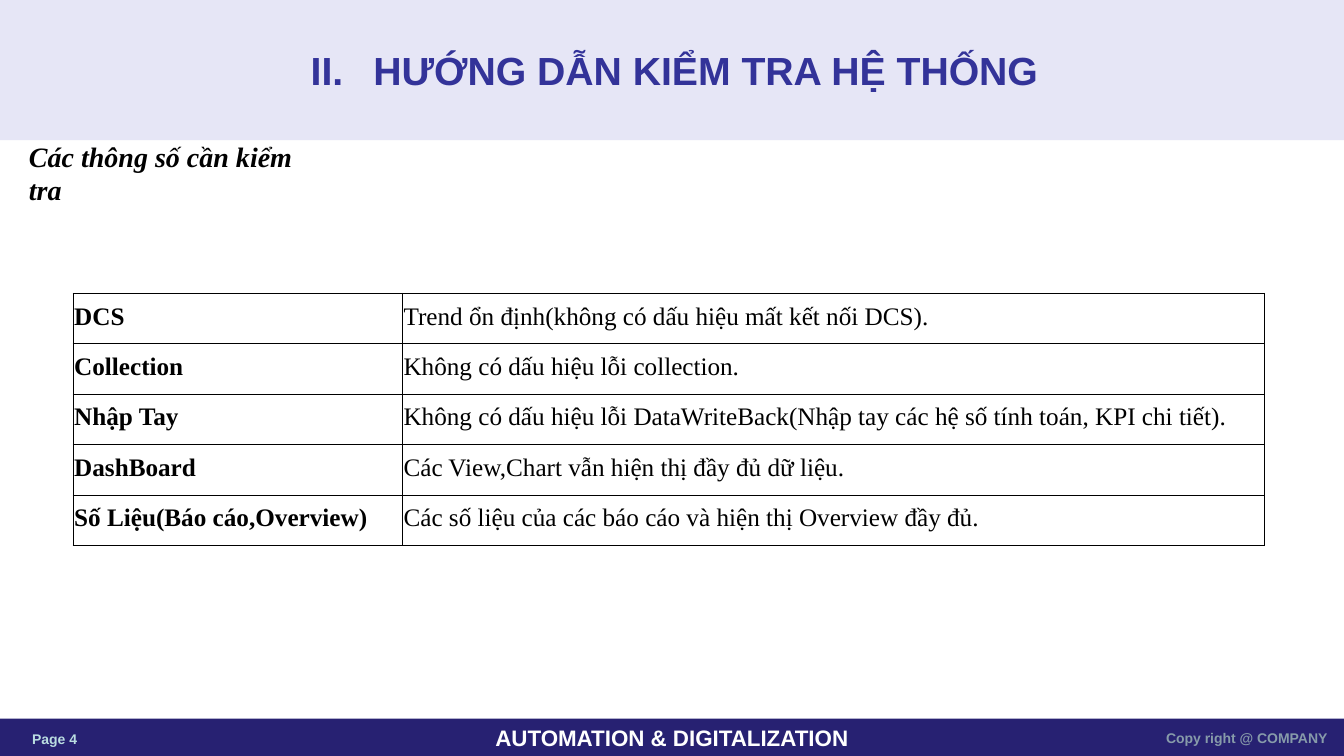
from lxml import etree
from pptx import Presentation
from pptx.dml.color import RGBColor
from pptx.enum.shapes import MSO_SHAPE
from pptx.enum.text import MSO_ANCHOR, MSO_AUTO_SIZE, PP_ALIGN
from pptx.oxml.ns import qn
from pptx.util import Cm, Pt

# Content
TITLE = "HƯỚNG DẪN KIỂM TRA HỆ THỐNG"
SUBTITLE = "Các thông số cần kiểm tra"
CHECKS = [
    ("DCS", "Trend ổn định(không có dấu hiệu mất kết nối DCS)."),
    ("Collection", "Không có dấu hiệu lỗi collection."),
    ("Nhập Tay", "Không có dấu hiệu lỗi DataWriteBack(Nhập tay các hệ số tính toán, KPI chi tiết)."),
    ("DashBoard", "Các View,Chart vẫn hiện thị đầy đủ dữ liệu."),
    ("Số Liệu(Báo cáo,Overview)", "Các số liệu của các báo cáo và hiện thị Overview đầy đủ."),
]
FOOTER = "AUTOMATION & DIGITALIZATION"
PAGE_LABEL = "Page 4"
COPYRIGHT = "Copy right @ COMPANY"

# Look and measures in cm
SANS, SERIF = "Arial", "Times New Roman"
WIDTH, HEIGHT = 33.87, 19.05
HEADER_HEIGHT, FOOTER_HEIGHT = 3.53, 0.94
COLUMN_WIDTHS, ROW_HEIGHT = (8.3, 21.72), 1.27
LEFT, CENTER, RIGHT = PP_ALIGN.LEFT, PP_ALIGN.CENTER, PP_ALIGN.RIGHT
TOP, MIDDLE = MSO_ANCHOR.TOP, MSO_ANCHOR.MIDDLE
RECTANGLE = MSO_SHAPE.RECTANGLE
NO_AUTOFIT = MSO_AUTO_SIZE.NONE


def color(hex_text):
    return RGBColor.from_string(hex_text)


def write(frame, text, size, hex_text, font=SANS, bold=True, italic=False, align=LEFT):
    frame.text = text
    frame.word_wrap = True
    para = frame.paragraphs[0]
    para.alignment = align
    span = para.runs[0].font
    span.name, span.size, span.bold, span.italic = font, Pt(size), bold, italic
    span.color.rgb = color(hex_text)
    return para


def set_margins(target, left, top, right, bottom):
    target.margin_left, target.margin_top = Cm(left), Cm(top)
    target.margin_right, target.margin_bottom = Cm(right), Cm(bottom)


def add_band(page, top, height, hex_text):
    band = page.shapes.add_shape(RECTANGLE, 0, Cm(top), Cm(WIDTH), Cm(height))
    band.shadow.inherit = False
    band.fill.solid()
    band.fill.fore_color.rgb = color(hex_text)
    band.line.fill.background()
    return band


def add_text(page, left, top, width, height, anchor):
    box = page.shapes.add_textbox(Cm(left), Cm(top), Cm(width), Cm(height))
    box.text_frame.vertical_anchor = anchor
    return box.text_frame


def add_borders(cell):
    properties = cell._tc.get_or_add_tcPr()
    for index, side in enumerate(("lnL", "lnR", "lnT", "lnB")):
        line = etree.Element(qn(f"a:{side}"), w=str(Pt(0.5)))
        fill = etree.SubElement(line, qn("a:solidFill"))
        etree.SubElement(fill, qn("a:srgbClr"), val="000000")
        properties.insert(index, line)


deck = Presentation()
deck.slide_width, deck.slide_height = Cm(WIDTH), Cm(HEIGHT)
page = deck.slides.add_slide(deck.slide_layouts[5])

# Header and footer bands
footer = add_band(page, HEIGHT - FOOTER_HEIGHT, FOOTER_HEIGHT, "272172")
footer.text_frame.vertical_anchor = MIDDLE
write(footer.text_frame, FOOTER, 16, "FFFFFF", align=CENTER)
header = add_band(page, 0, HEADER_HEIGHT, "CECEEF")
tint = header.fill._xPr.find(".//" + qn("a:srgbClr"))
etree.SubElement(tint, qn("a:alpha"), val="50000")

# Footer labels
page_label = add_text(page, 0.81, 18.36, 2.37, 0.69, TOP)
set_margins(page_label, 0, 0, 0, 0)
write(page_label, PAGE_LABEL, 10, "BADDE1").line_spacing = 1.1
copyright_label = add_text(page, 28.63, 18.26, 4.82, 0.94 - 0.15, MIDDLE)
set_margins(copyright_label, 0, 0, 0, 0.13)
write(copyright_label, COPYRIGHT, 10, "879BAA", align=RIGHT)

# Numbered title, in front of the header band
title = page.shapes.title
title.left, title.top, title.width, title.height = Cm(6.2), 0, Cm(21.59), Cm(HEADER_HEIGHT)
title.element.getparent().append(title.element)
title.text_frame.auto_size = NO_AUTOFIT
title.text_frame.vertical_anchor = MIDDLE
heading = write(title.text_frame, TITLE, 28, "333399", align=CENTER)
numbering = heading._p.get_or_add_pPr()
numbering.set("marL", str(Cm(1.58)))
numbering.set("indent", str(-Cm(1.58)))
etree.SubElement(numbering, qn("a:buFont"), typeface="+mj-lt")
etree.SubElement(numbering, qn("a:buAutoNum"), type="romanUcPeriod", startAt="2")

# Subtitle
subtitle = add_text(page, 0.48, 3.39, 8.13, 1.93, MIDDLE)
write(subtitle, SUBTITLE, 20, "000000", SERIF, italic=True)

# Table of checks
table = page.shapes.add_table(
    len(CHECKS), len(COLUMN_WIDTHS), Cm(1.84), Cm(7.39),
    Cm(sum(COLUMN_WIDTHS)), Cm(ROW_HEIGHT * len(CHECKS))).table
table.first_row = table.horz_banding = False
for column, width in zip(table.columns, COLUMN_WIDTHS):
    column.width = Cm(width)
for row, check in zip(table.rows, CHECKS):
    row.height = Cm(ROW_HEIGHT)
    for index, (cell, text) in enumerate(zip(row.cells, check)):
        write(cell.text_frame, text, 18, "000000", SERIF, bold=index == 0)
        cell.vertical_anchor = MIDDLE
        set_margins(cell, 0.03, 0.03, 0.03, 0.13)
        cell.fill.solid()
        cell.fill.fore_color.rgb = color("FFFFFF")
        add_borders(cell)

deck.save("out.pptx")
